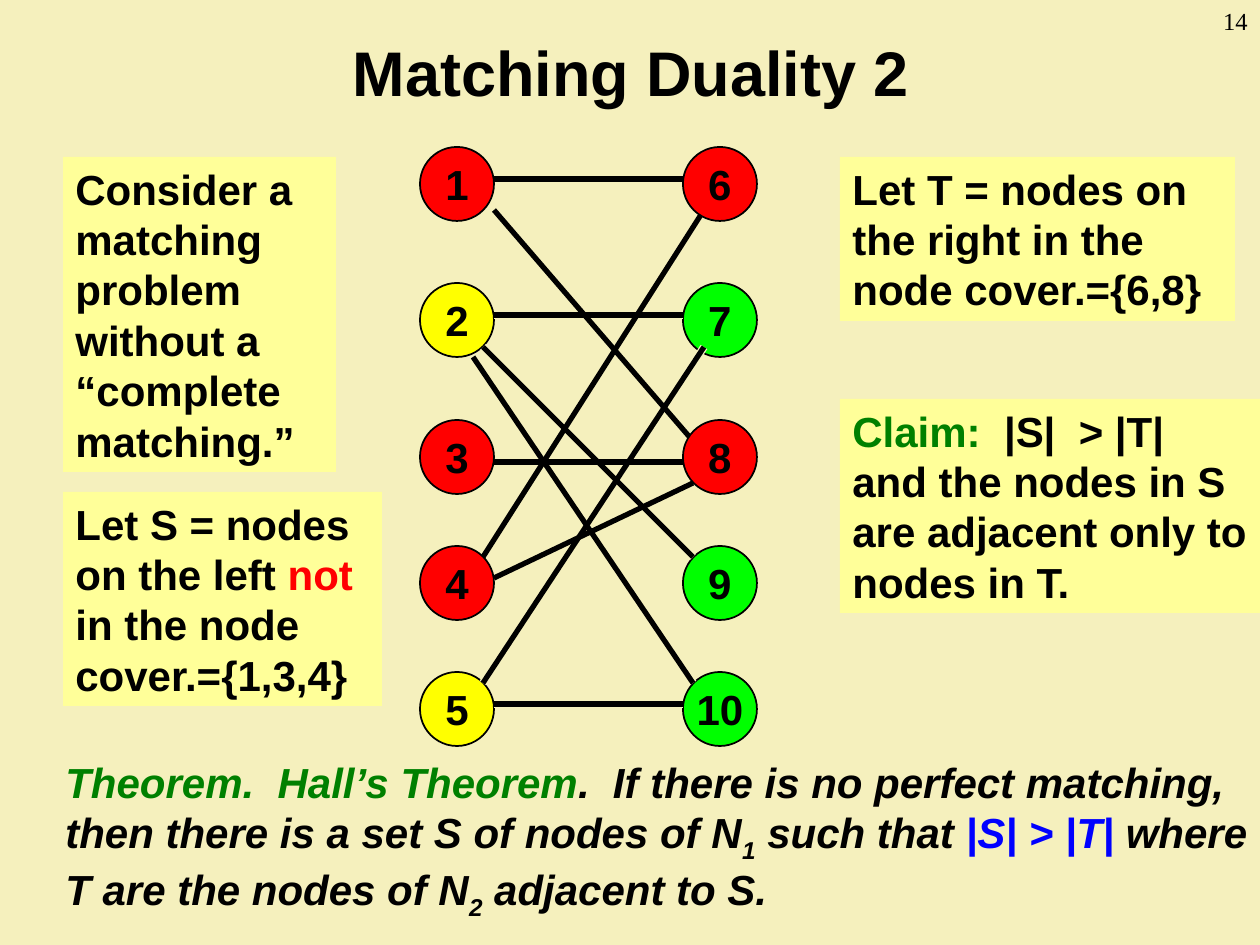
from pptx import Presentation
from pptx.dml.color import RGBColor
from pptx.enum.shapes import MSO_CONNECTOR, MSO_SHAPE
from pptx.enum.text import MSO_ANCHOR, MSO_AUTO_SIZE, PP_ALIGN
from pptx.oxml.ns import qn
from pptx.util import Emu, Pt
from lxml.etree import SubElement

BLACK, GREEN, RED, BLUE = "000000", "008000", "FF0000", "0000FF"
LIME, YELLOW, NOTE, PAPER = "00FF00", "FFFF00", "FFFF99", "F5F0BD"
NODE_SIZE = 74
LEFT_X, RIGHT_X = 420, 683
ROWS = [147, 283, 420, 546, 672]
NODE_FILLS = [RED, YELLOW, RED, RED, YELLOW, RED, LIME, RED, LIME, LIME]
EDGES = [
    (494, 315, 683, 315), (483, 347, 693, 557), (494, 704, 683, 704),
    (483, 683, 704, 347), (494, 179, 683, 179), (494, 210, 693, 441),
    (494, 462, 693, 462), (483, 557, 704, 210), (494, 578, 693, 483),
    (473, 357, 693, 683),
]
NOTES = [
    ((840, 157, 395, 164), [("Let T = nodes on the right in the node cover.={6,8}", BLACK)]),
    ((63, 157, 273, 315), [("Consider a matching problem without a “complete matching.”", BLACK)]),
    ((63, 492, 319, 214), [("Let S = nodes on the left ", BLACK), ("not", RED),
                           (" in the node cover.={1,3,4}", BLACK)]),
    ((840, 399, 420, 214), [("Claim:", GREEN),
                            ("  |S|  > |T| and the nodes in S are adjacent only to nodes in T.", BLACK)]),
]
THEOREM = [
    ("Theorem.  Hall’s Theorem", GREEN),
    (".  If there is no perfect matching, then there is a set S of nodes of N", BLACK),
    ("1", BLACK, True), (" such that ", BLACK), ("|S| > |T|", BLUE),
    (" where T are the nodes of N", BLACK), ("2", BLACK, True), (" adjacent to S.", BLACK),
]


def px(n):
    return Emu(round(n * 914400 / 126))


def box(*lengths):
    return [px(n) for n in lengths]


def rgb(hex_string):
    return RGBColor.from_string(hex_string)


def add_run(p, text, color=BLACK, subscript=False, size=24, font="Arial", bold=True, italic=False):
    r = p.add_run()
    r.text = text
    r.font.size, r.font.name = Pt(size), font
    r.font.bold, r.font.italic = bold, italic
    r.font.color.rgb = rgb(color)
    if subscript:
        r.font._element.set("baseline", "-25000")


def add_title(s, text):
    sp = s.shapes.title
    sp.left, sp.top, sp.width, sp.height = box(64, 16, 1134, 110)
    tf = sp.text_frame
    tf.vertical_anchor = MSO_ANCHOR.MIDDLE
    p = tf.paragraphs[0]
    p.alignment = PP_ALIGN.CENTER
    add_run(p, text, size=36)


def add_text(s, bounds, runs, fill=None, align=PP_ALIGN.LEFT, **style):
    sp = s.shapes.add_textbox(*box(*bounds))
    if fill:
        sp.fill.solid()
        sp.fill.fore_color.rgb = rgb(fill)
    tf = sp.text_frame
    tf.word_wrap = True
    tf.auto_size = MSO_AUTO_SIZE.NONE
    p = tf.paragraphs[0]
    p.alignment = align
    for run in runs:
        add_run(p, *run, **style)


def add_node(s, number, fill):
    column, row = divmod(number - 1, len(ROWS))
    x = (LEFT_X, RIGHT_X)[column]
    sp = s.shapes.add_shape(MSO_SHAPE.OVAL, *box(x, ROWS[row], NODE_SIZE, NODE_SIZE))
    sp.shadow.inherit = False
    sp.fill.solid()
    sp.fill.fore_color.rgb = rgb(fill)
    sp.line.color.rgb = rgb(BLACK)
    sp.line.width = Pt(1)
    tf = sp.text_frame
    tf.word_wrap = False
    tf.vertical_anchor = MSO_ANCHOR.MIDDLE
    p = tf.paragraphs[0]
    p.alignment = PP_ALIGN.CENTER
    add_run(p, str(number))


def add_nodes(s, fills):
    for number, fill in enumerate(NODE_FILLS, 1):
        if fill in fills:
            add_node(s, number, fill)


def add_edges(s, color, width):
    for edge in EDGES:
        line = s.shapes.add_connector(MSO_CONNECTOR.STRAIGHT, *box(*edge))
        line.line.color.rgb = rgb(color)
        line.line.width = Pt(width)
        SubElement(line._element.spPr, qn("a:effectLst"))


def main():
    prs = Presentation()
    prs.slide_width, prs.slide_height = box(1260, 945)
    s = prs.slides.add_slide(prs.slide_layouts[5])
    s.background.fill.solid()
    s.background.fill.fore_color.rgb = rgb(PAPER)
    add_title(s, "Matching Duality 2")
    add_nodes(s, (LIME, YELLOW))
    add_edges(s, PAPER, 4.5)
    add_edges(s, BLACK, 3)
    add_nodes(s, (RED,))
    for bounds, runs in NOTES:
        add_text(s, bounds, runs, fill=NOTE)
    add_text(s, (53, 750, 1207, 178), THEOREM, italic=True)
    add_text(s, (1155, 0, 105, 63), [("14",)], align=PP_ALIGN.RIGHT,
             size=14, font="Times New Roman", bold=False)
    prs.save("out.pptx")


if __name__ == "__main__":
    main()
